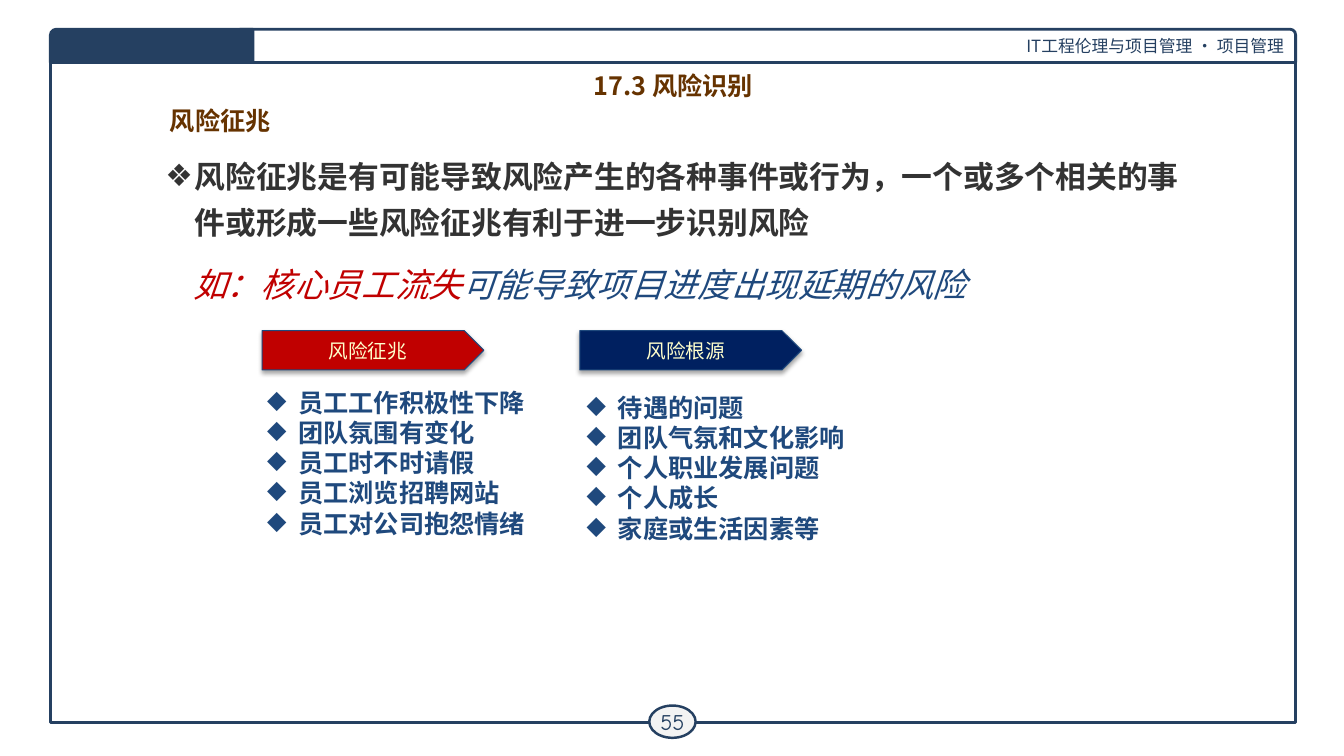
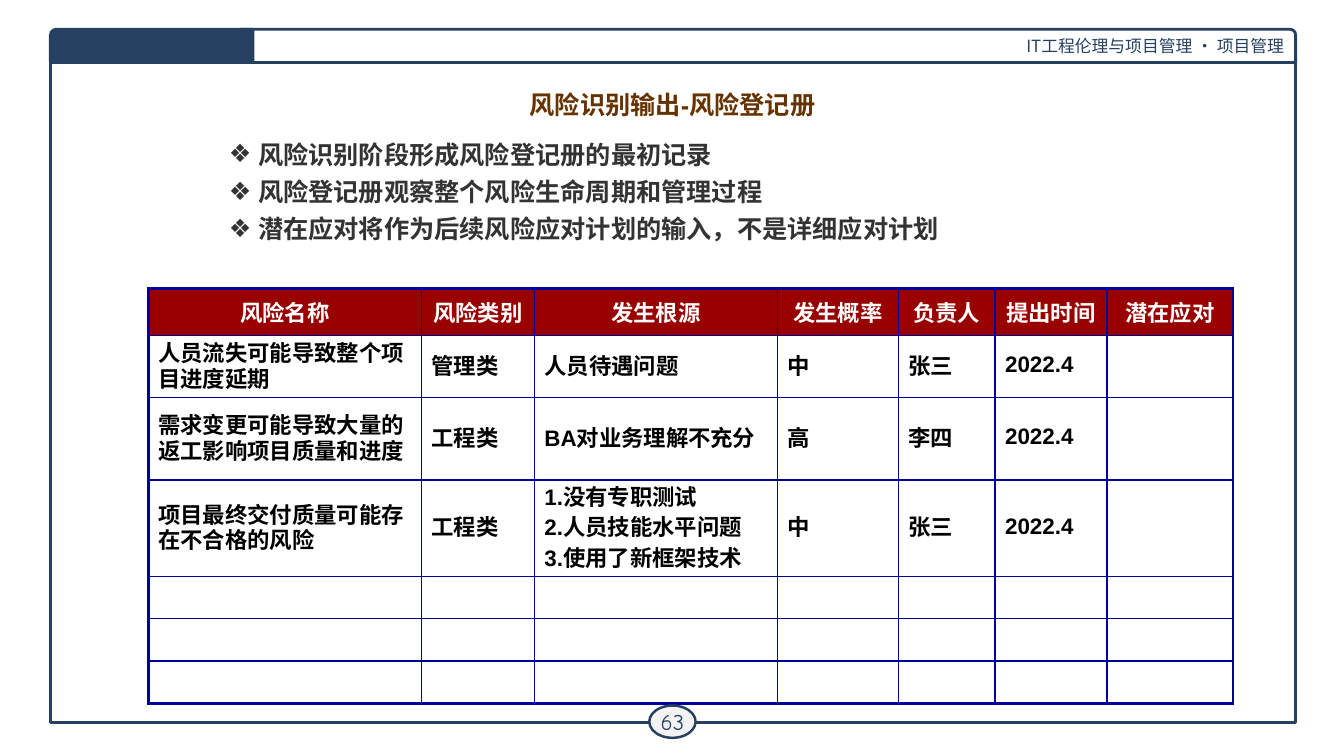
from pptx import Presentation
from pptx.dml.color import RGBColor as RGB
from pptx.enum.shapes import MSO_SHAPE as Shape
from pptx.enum.text import MSO_ANCHOR as Anchor, MSO_AUTO_SIZE as Auto, PP_ALIGN as Align
from pptx.oxml import parse_xml
from pptx.oxml.ns import nsdecls, qn
from pptx.util import Inches, Pt
from lxml.etree import SubElement as Sub

# Page size and shared look
WIDE, HIGH = Inches(13.33), Inches(7.5)
NAVY = RGB(0x25, 0x40, 0x61)
BLUE = RGB(0x1F, 0x49, 0x7D)
DEEP = RGB(0x00, 0x20, 0x60)
GRID = RGB(0x00, 0x00, 0x99)
RED = RGB(0xC0, 0x00, 0x00)
WINE = RGB(0x99, 0x00, 0x00)
BROWN = RGB(0x66, 0x33, 0x00)
CREAM = RGB(0xFF, 0xFF, 0xCC)
GREY = RGB(0x33, 0x33, 0x33)
PALE = RGB(0xF3, 0xF3, 0xF3)
WHITE = RGB(0xFF, 0xFF, 0xFF)
BLACK = RGB(0x00, 0x00, 0x00)
SANS, SERIF, ROUND, PLAIN = "Noto Sans CJK SC", "TeX Gyre Schola", "Comic Neue", "Arial"
HEAD = dict(size=18, color=BROWN, bold=True, align=Align.CENTER)

# Signs, their outer columns, and their lists: (head, fill, left, list left, list top, items)
SIGNS = [
    ("风险征兆", RED, 19.5, 19.13, 50.53,
     ["员工工作积极性下降", "团队氛围有变化", "员工时不时请假", "员工浏览招聘网站", "员工对公司抱怨情绪"]),
    ("风险根源", DEEP, 43.14, 42.91, 51.2,
     ["待遇的问题", "团队气氛和文化影响", "个人职业发展问题", "个人成长", "家庭或生活因素等"]),
]

# Risk register, with sizes as shares of the slide
COLS = [20.33, 8.4, 18.08, 9, 7.2, 8.33, 9.38]
ROWS = [6.27, 8.13, 10.93, 12.67] + [5.6] * 3
RISKS = [
    ["风险名称", "风险类别", "发生根源", "发生概率", "负责人", "提出时间", "潜在应对"],
    ["人员流失可能导致整个项目进度延期", "管理类", "人员待遇问题", "中", "张三", "2022.4"],
    ["需求变更可能导致大量的返工影响项目质量和进度", "工程类", "BA对业务理解不充分", "高", "李四", "2022.4"],
    ["项目最终交付质量可能存在不合格的风险", "工程类",
     "1.没有专职测试\n2.人员技能水平问题\n3.使用了新框架技术", "中", "张三", "2022.4"],
]


def across(share):
    return round(WIDE * share / 100)


def down(share):
    return round(HIGH * share / 100)


def area(x, y, w, h):
    """Turn shares of the slide into left, top, width and height."""
    return across(x), down(y), across(w), down(h)


def write(frame, *lines, size=18, font=SANS, color=BLACK, bold=False, italic=False,
          align=Align.LEFT, anchor=Anchor.TOP, wrap=True, lead=1, gap=0, mark=None, hang=0):
    """Fill a text frame; a line is a string or a list of (text, color) runs."""
    frame.auto_size = Auto.NONE
    frame.word_wrap, frame.vertical_anchor = wrap, anchor
    for i, line in enumerate(lines):
        par = frame.add_paragraph() if i else frame.paragraphs[0]
        par.alignment, par.line_spacing = align, lead
        par.space_before, par.space_after = Pt(gap if i else 0), Pt(0)
        if mark:
            props = par._p.get_or_add_pPr()
            props.set("marL", str(Inches(hang)))
            props.set("indent", str(-Inches(hang)))
            Sub(props, qn("a:buChar")).set("char", mark)
        for text, tint in [(line, color)] if isinstance(line, str) else line:
            run = par.add_run()
            run.text = text
            face = run.font
            face.name, face.size, face.bold, face.italic = font, Pt(size), bold, italic
            Sub(face._element, qn("a:ea")).set("typeface", SANS)
            face.color.rgb = tint


def label(slide, box, *lines, **form):
    write(slide.shapes.add_textbox(*area(*box)).text_frame, *lines, **form)


def holder(item, box, *lines, **form):
    """Move a placeholder and write in it."""
    item.left, item.top, item.width, item.height = area(*box)
    write(item.text_frame, *lines, **form)


def block(slide, kind, box, fill=None, line=NAVY, width=2):
    item = slide.shapes.add_shape(kind, *area(*box))
    item.shadow.inherit = False
    if fill is None:
        item.fill.background()
    else:
        item.fill.solid()
        item.fill.fore_color.rgb = fill
    item.line.color.rgb, item.line.width = line, Pt(width)
    return item


def shade(item):
    """Give a shape a soft shadow below it."""
    props = item._element.spPr
    props.remove(props.find(qn("a:effectLst")))
    props.append(parse_xml(
        f'<a:effectLst {nsdecls("a")}><a:outerShdw blurRad="{Pt(3.1)}" dist="{Pt(1.8)}" '
        'dir="5400000" rotWithShape="0"><a:srgbClr val="000000"><a:alpha val="35000"/>'
        '</a:srgbClr></a:outerShdw></a:effectLst>'))


def border(slide, layout):
    """Build the page frame and bands, then place them on the layout."""
    edge = block(slide, Shape.RECTANGLE, (3.75, 6.67, 92.65, 88.93))
    strip = block(slide, Shape.ROUND_1_RECTANGLE, (17.85, 3.87, 78.55, 4.4), WHITE)
    write(strip.text_frame, "IT工程伦理与项目管理 · 项目管理", size=12, color=NAVY,
          align=Align.RIGHT, anchor=Anchor.MIDDLE)
    tab = block(slide, Shape.ROUND_1_RECTANGLE, (3.75, 3.87, 15.08, 4.4), NAVY)
    tab.adjustments[0] = 0.18
    tab._element.spPr.find(qn("a:xfrm")).set("flipH", "1")
    for item in (edge, strip, tab):
        layout.shapes.element.append(item._element)


def badge(slide, number):
    item = block(slide, Shape.OVAL, (48.31, 93.33, 3.45, 4.27), PALE, width=1.75)
    frame = item.text_frame
    frame.margin_left = frame.margin_right = Inches(0.04)
    frame.margin_top = frame.margin_bottom = Inches(0.04)
    write(frame, str(number), size=16, font=ROUND, color=NAVY,
          align=Align.CENTER, anchor=Anchor.MIDDLE, wrap=False)


def rule(cell, side, width):
    """Draw one border of a cell."""
    line = Sub(cell._tc.get_or_add_tcPr(), qn(f"a:ln{side}"), w=str(Pt(width)))
    Sub(Sub(line, qn("a:solidFill")), qn("a:srgbClr")).set("val", str(GRID))


def chart(slide, left, top):
    """Lay out the risk register."""
    rows, cols = len(ROWS), len(COLS)
    table = slide.shapes.add_table(rows, cols, *area(left, top, sum(COLS), sum(ROWS))).table
    table.first_row = table.horz_banding = False
    for c, share in enumerate(COLS):
        table.columns[c].width = across(share)
    for r, share in enumerate(ROWS):
        table.rows[r].height = down(share)
        for c in range(cols):
            cell = table.cell(r, c)
            outer = {"L": c == 0, "R": c == cols - 1, "T": r == 0, "B": r == rows - 1}
            for side, thick in outer.items():
                rule(cell, side, 2.25 if thick else 1)
            cell.vertical_anchor = Anchor.MIDDLE
            if r == 0:
                cell.fill.solid()
                cell.fill.fore_color.rgb = WINE
                form = dict(color=WHITE, align=Align.CENTER)
            else:
                cell.fill.background()
                form = dict(lead=0.8, gap=3.2)
            if r < len(RISKS) and c < len(RISKS[r]):
                write(cell.text_frame, *RISKS[r][c].split("\n"), size=16, font=PLAIN,
                      bold=True, anchor=Anchor.MIDDLE, **form)


def omens(slide):
    """Slide on the signs of risk."""
    title, body = slide.placeholders
    holder(title, (7.58, 13.2, 17.63, 8.27), "风险征兆", **HEAD)
    holder(body, (11.55, 18.93, 78.47, 12.27),
           "风险征兆是有可能导致风险产生的各种事件或行为，一个或多个相关的事件或形成一些风险征兆有利于进一步识别风险",
           size=22, color=GREY, bold=True, lead=1.25, mark="❖", hang=0.29)
    label(slide, (13.65, 34.27, 59.64, 6.67),
          [("如：核心员工流失", RED), ("可能导致项目进度出现延期的风险", BLUE)], size=24, italic=True)
    for name, fill, left, start, top, items in SIGNS:
        plate = block(slide, Shape.PENTAGON, (left, 43.73, 16.5, 5.2), fill, BLUE, 0.75)
        shade(plate)
        write(plate.text_frame, name, size=14, color=CREAM,
              align=Align.CENTER, anchor=Anchor.MIDDLE)
        label(slide, (start, top, 20.93, 25), *items, color=BLUE, bold=True,
              wrap=False, mark="◆", hang=0.31)
    label(slide, (16.35, 8.67, 67.52, 5.2), "17.3 风险识别", **HEAD)


def record(slide):
    """Slide on the risk register."""
    title, body = slide.placeholders
    holder(title, (16.28, 11.2, 67.52, 6.4), "风险识别输出-风险登记册", font=SERIF, **HEAD)
    chart(slide, 11.03, 38.13)
    holder(body, (16.28, 17.73, 66.92, 15.47),
           "风险识别阶段形成风险登记册的最初记录",
           "风险登记册观察整个风险生命周期和管理过程",
           "潜在应对将作为后续风险应对计划的输入，不是详细应对计划",
           font=SERIF, color=GREY, bold=True, gap=5, mark="❖", hang=0.29)


def main():
    deck = Presentation()
    deck.slide_width, deck.slide_height = WIDE, HIGH
    layout = deck.slide_layouts[1]
    for number, build in ((55, omens), (63, record)):
        slide = deck.slides.add_slide(layout)
        if number == 55:
            border(slide, layout)
        build(slide)
        badge(slide, number)
    deck.save("out.pptx")


if __name__ == "__main__":
    main()
